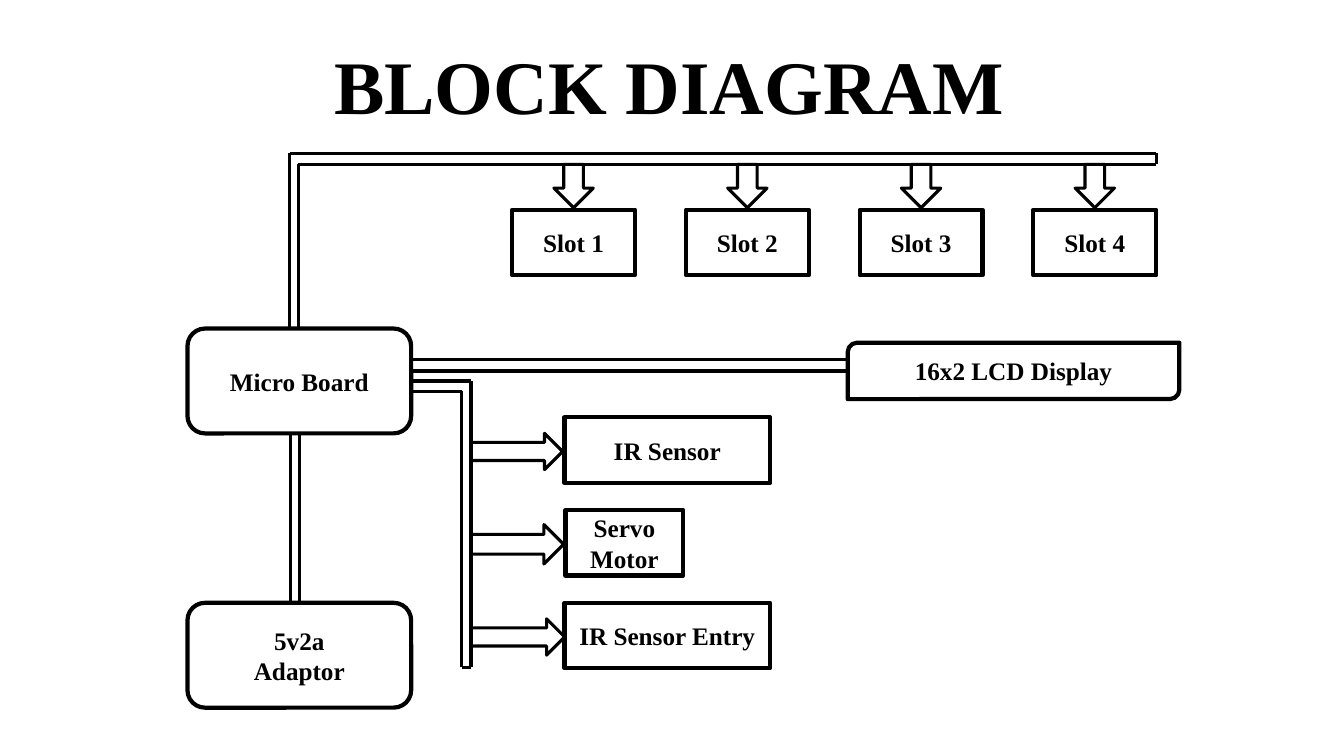
from dataclasses import dataclass
from itertools import pairwise

from lxml import etree
from pptx import Presentation
from pptx.dml.color import RGBColor
from pptx.enum.shapes import MSO_CONNECTOR, MSO_SHAPE
from pptx.enum.text import MSO_ANCHOR, PP_ALIGN
from pptx.oxml.ns import qn
from pptx.shapes.autoshape import Shape
from pptx.slide import Slide
from pptx.text.text import TextFrame
from pptx.util import Pt

RECT = MSO_SHAPE.RECTANGLE
ROUNDED = MSO_SHAPE.ROUNDED_RECTANGLE
DIAGONAL = MSO_SHAPE.ROUND_2_DIAG_RECTANGLE
PROCESS = MSO_SHAPE.FLOWCHART_PROCESS
DOWN_ARROW = MSO_SHAPE.DOWN_ARROW
RIGHT_ARROW = MSO_SHAPE.RIGHT_ARROW
STRAIGHT = MSO_CONNECTOR.STRAIGHT
CENTER = PP_ALIGN.CENTER
MIDDLE = MSO_ANCHOR.MIDDLE
TITLE_ONLY = 5

Wire = list[tuple[float, float]]


@dataclass(frozen=True)
class Theme:
    font: str = "Times New Roman"
    ink: RGBColor = RGBColor(0, 0, 0)
    title_size: float = 54
    label_size: float = 18
    block_line: float = 3
    wire_line: float = 2.25


@dataclass(frozen=True)
class Block:
    kind: MSO_SHAPE
    left: float
    top: float
    width: float
    height: float
    label: str = ""


@dataclass(frozen=True)
class Device:
    kind: MSO_SHAPE
    label: str
    left: float
    width: float
    arrow_width: float
    arrow_height: float


THEME = Theme()

UNIT_LEFT, UNIT_WIDTH, UNIT_HEIGHT = 133.9, 159.8, 74.9
CONTROLLER_TOP, ADAPTOR_TOP = 234.7, 430.6
UNIT_RIGHT = UNIT_LEFT + UNIT_WIDTH
CONTROLLER_BOTTOM = CONTROLLER_TOP + UNIT_HEIGHT
LCD_LEFT = 605.5
UNITS = [
    Block(ROUNDED, UNIT_LEFT, ADAPTOR_TOP, UNIT_WIDTH, UNIT_HEIGHT, "5v2a\nAdaptor"),
    Block(ROUNDED, UNIT_LEFT, CONTROLLER_TOP, UNIT_WIDTH, UNIT_HEIGHT, "Micro Board"),
    Block(DIAGONAL, LCD_LEFT, 244.8, 236.9, 40.3, "16x2 LCD Display"),
]

SMALL_HEIGHT = 46.8
SLOT_COUNT, SLOT_LEFT, SLOT_TOP, SLOT_WIDTH, SLOT_PITCH = 4, 365.8, 149.8, 87.8, 124.1
SLOT_ARROW_WIDTH, SLOT_ARROW_HEIGHT = 28.1, 31
SLOT_BUS_TOP, SLOT_BUS_BOTTOM, SLOT_BUS_END = 109.4, 117.4, 825.8

DEVICE_TOP, DEVICE_PITCH = 298.1, 66.25
DEVICE_BUS_LEFT, DEVICE_BUS_RIGHT, DEVICE_BUS_END = 329.8, 336.4, 476.6
DEVICES = [
    Device(PROCESS, "IR Sensor", 403.2, 146.9, 65.5, 25.9),
    Device(RECT, "Servo Motor", 403.9, 84.2, 66.2, 28.1),
    Device(PROCESS, "IR Sensor Entry", 403.2, 146.9, 67, 25.9),
]

WIRES: list[Wire] = [
    # Power supply
    *([(x, ADAPTOR_TOP), (x, CONTROLLER_BOTTOM)] for x in (207.4, 213.8)),
    # Slot bus
    [(207, 234), (207, SLOT_BUS_TOP), (SLOT_BUS_END, SLOT_BUS_TOP),
     (SLOT_BUS_END, SLOT_BUS_BOTTOM), (213.1, SLOT_BUS_BOTTOM), (213.1, 234)],
    # Display link
    *([(UNIT_RIGHT, y), (LCD_LEFT, y)] for y in (257, 265)),
    # Device bus
    [(UNIT_RIGHT, 272.2), (DEVICE_BUS_RIGHT, 272.2),
     (DEVICE_BUS_RIGHT, DEVICE_BUS_END), (DEVICE_BUS_LEFT, DEVICE_BUS_END),
     (DEVICE_BUS_LEFT, 279.4), (UNIT_RIGHT, 279.4)],
]


def write_label(frame: TextFrame, label: str, size: float) -> None:
    frame.text = label
    frame.word_wrap = True
    frame.vertical_anchor = MIDDLE
    for paragraph in frame.paragraphs:
        paragraph.alignment = CENTER
        paragraph.font.name = THEME.font
        paragraph.font.size = Pt(size)
        paragraph.font.bold = True
        paragraph.font.color.rgb = THEME.ink


def place(shape: Shape, left: float, top: float, width: float, height: float) -> None:
    shape.left, shape.top = Pt(left), Pt(top)
    shape.width, shape.height = Pt(width), Pt(height)


def draw_block(slide: Slide, block: Block, line_width: float) -> None:
    shape = slide.shapes.add_shape(
        block.kind, Pt(block.left), Pt(block.top), Pt(block.width), Pt(block.height)
    )
    shape.shadow.inherit = False
    shape.fill.background()
    shape.line.color.rgb = THEME.ink
    shape.line.width = Pt(line_width)
    if block.label:
        write_label(shape.text_frame, block.label, THEME.label_size)


def draw_wire(slide: Slide, wire: Wire) -> None:
    """Join successive points with straight connectors."""
    for (x1, y1), (x2, y2) in pairwise(wire):
        segment = slide.shapes.add_connector(STRAIGHT, Pt(x1), Pt(y1), Pt(x2), Pt(y2))
        segment.line.color.rgb = THEME.ink
        segment.line.width = Pt(THEME.wire_line)
        etree.SubElement(segment._element.spPr, qn("a:effectLst"))


def draw_slots(slide: Slide) -> None:
    for index in range(SLOT_COUNT):
        left = SLOT_LEFT + index * SLOT_PITCH
        slot = Block(RECT, left, SLOT_TOP, SLOT_WIDTH, SMALL_HEIGHT, f"Slot {index + 1}")
        arrow = Block(
            DOWN_ARROW, left + (SLOT_WIDTH - SLOT_ARROW_WIDTH) / 2, SLOT_BUS_BOTTOM,
            SLOT_ARROW_WIDTH, SLOT_ARROW_HEIGHT,
        )
        draw_block(slide, slot, THEME.block_line)
        draw_block(slide, arrow, THEME.wire_line)


def draw_devices(slide: Slide) -> None:
    for index, device in enumerate(DEVICES):
        top = DEVICE_TOP + index * DEVICE_PITCH
        box = Block(device.kind, device.left, top, device.width, SMALL_HEIGHT, device.label)
        arrow_top = top + (SMALL_HEIGHT - device.arrow_height) / 2 + 1
        arrow = Block(
            RIGHT_ARROW, DEVICE_BUS_RIGHT, arrow_top,
            device.arrow_width, device.arrow_height,
        )
        draw_block(slide, box, THEME.block_line)
        draw_block(slide, arrow, THEME.wire_line)


def main() -> None:
    presentation = Presentation()
    presentation.slide_width, presentation.slide_height = Pt(960), Pt(540)
    slide = presentation.slides.add_slide(presentation.slide_layouts[TITLE_ONLY])

    title = slide.shapes.title
    place(title, 0, 30.2, 956, 68.4)
    write_label(title.text_frame, "BLOCK DIAGRAM", THEME.title_size)
    title.text_frame.paragraphs[0].line_spacing = 0.9

    for unit in UNITS:
        draw_block(slide, unit, THEME.block_line)
    for wire in WIRES:
        draw_wire(slide, wire)
    draw_slots(slide)
    draw_devices(slide)
    presentation.save("out.pptx")


if __name__ == "__main__":
    main()
